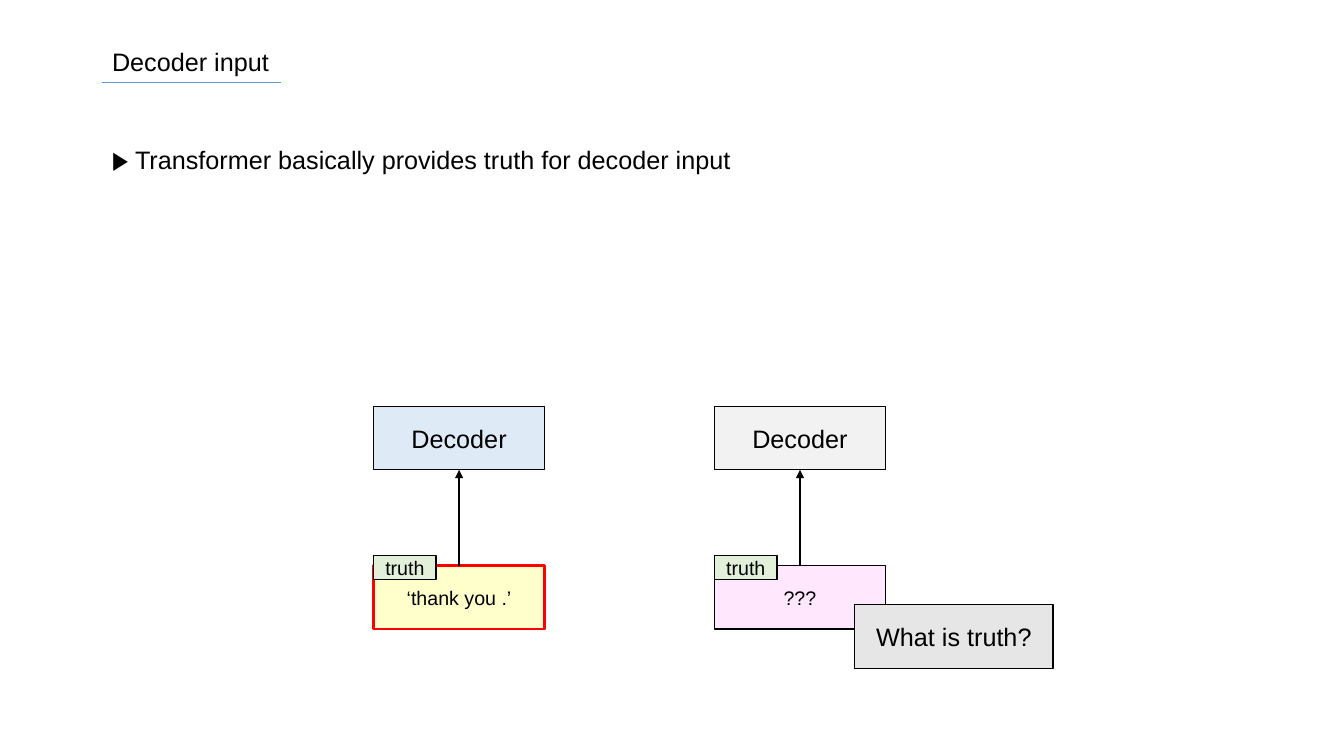
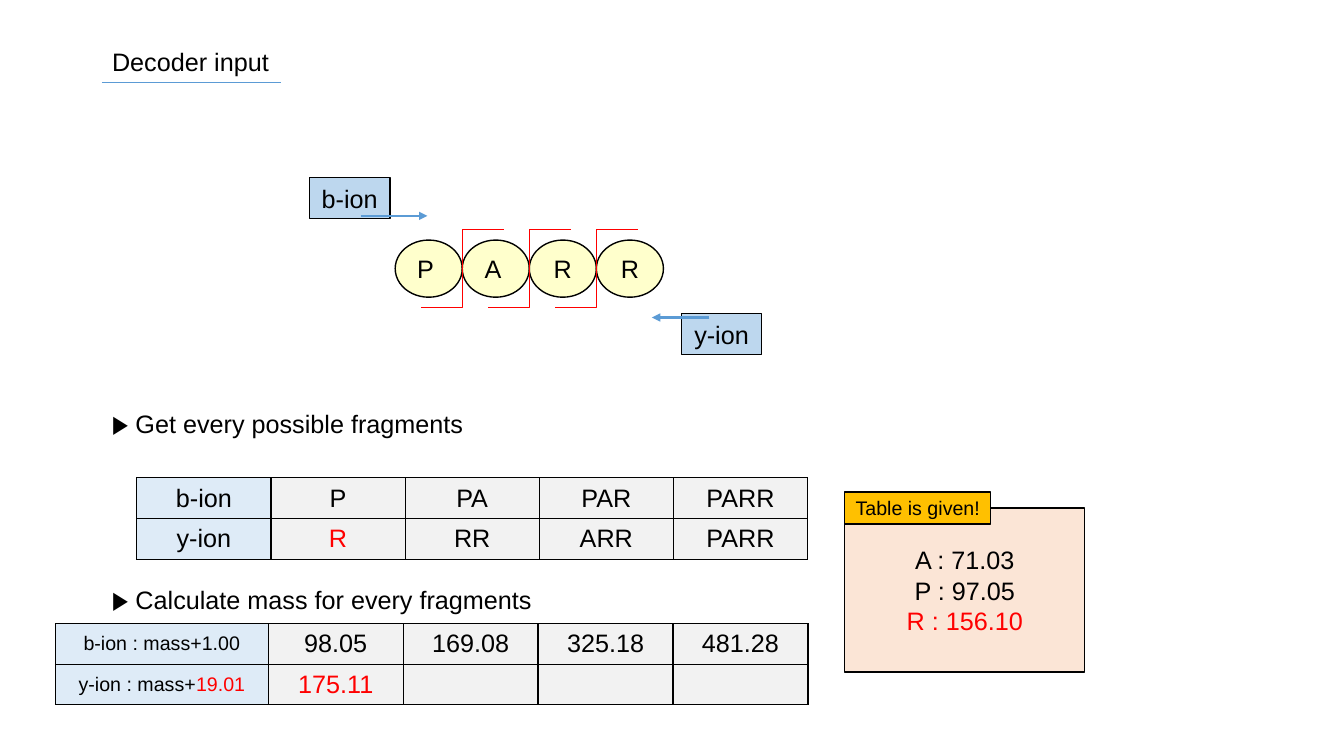
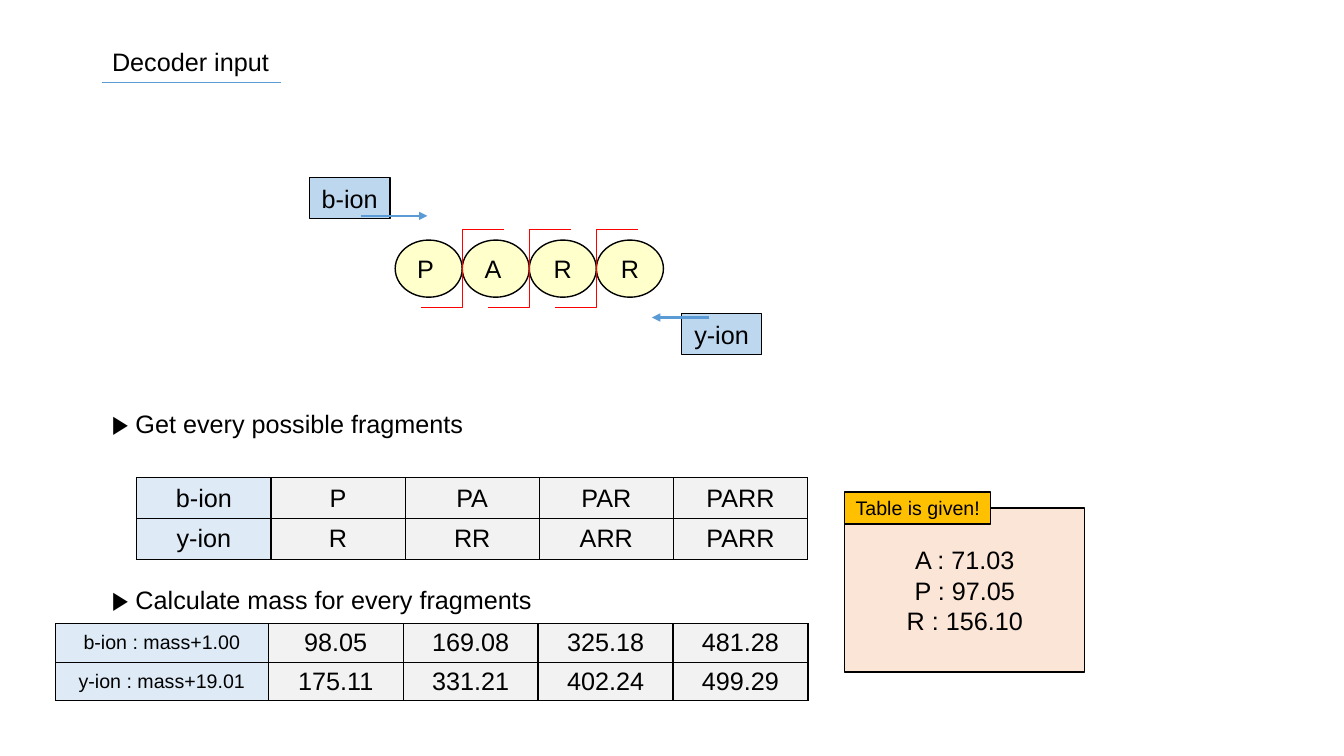
from dataclasses import dataclass, field

from lxml import etree
from pptx import Presentation
from pptx.dml.color import RGBColor
from pptx.enum.shapes import MSO_CONNECTOR, MSO_SHAPE
from pptx.enum.text import MSO_ANCHOR, PP_ALIGN
from pptx.oxml.ns import qn
from pptx.slide import Slide
from pptx.text.text import TextFrame
from pptx.util import Cm, Pt

RECT, OVAL = MSO_SHAPE.RECTANGLE, MSO_SHAPE.OVAL
STRAIGHT, ELBOW = MSO_CONNECTOR.STRAIGHT, MSO_CONNECTOR.ELBOW
LEFT, CENTER = PP_ALIGN.LEFT, PP_ALIGN.CENTER
TOP, MIDDLE = MSO_ANCHOR.TOP, MSO_ANCHOR.MIDDLE
TITLE_ONLY = 5


@dataclass(frozen=True)
class Theme:
    font: str = "Arial"
    body: float = 18
    small: float = 14
    ink: str = "000000"
    red: str = "FF0000"
    blue: str = "5B9BD5"
    ion: str = "BDD7EE"
    header: str = "DEEBF7"
    gray: str = "F2F2F2"
    question: str = "E7E6E6"
    yellow: str = "FFFFCC"
    pink: str = "FFE7FD"
    green: str = "E2F0D9"
    peach: str = "FBE5D6"
    amber: str = "FFC000"


THEME = Theme()


@dataclass(frozen=True)
class Box:
    text: str
    left: float
    top: float
    width: float
    height: float
    fill: str
    size: float = THEME.body
    outline: str = THEME.ink
    weight: float = 1
    shape: MSO_SHAPE = RECT
    accent: str = ""


@dataclass(frozen=True)
class Line:
    start: tuple[float, float]
    end: tuple[float, float]
    color: str = THEME.ink
    weight: float = 1
    arrow: bool = False
    kind: MSO_CONNECTOR = STRAIGHT


@dataclass(frozen=True)
class Grid:
    left: float
    top: float
    columns: list[float]
    row_height: float
    rows: list[list[str]]
    header_size: float = THEME.body
    accents: dict[tuple[int, int], str] = field(default_factory=dict)


@dataclass(frozen=True)
class DecoderCase:
    left: float
    decoder_fill: str
    input_text: str
    input_fill: str
    input_outline: str
    input_weight: float


def write_text(frame: TextFrame, text: str, *, size: float = THEME.body,
               color: str = THEME.ink, align: PP_ALIGN = LEFT,
               anchor: MSO_ANCHOR = TOP, accent: str = "") -> None:
    frame.word_wrap = True
    frame.vertical_anchor = anchor
    for index, line in enumerate(text.split("\n")):
        paragraph = frame.add_paragraph() if index else frame.paragraphs[0]
        paragraph.alignment = align
        before, hit, after = line.partition(accent) if accent else (line, "", "")
        for part, tint in ((before, color), (hit, THEME.red), (after, color)):
            if part:
                run = paragraph.add_run()
                run.text = part
                run.font.name = THEME.font
                run.font.size = Pt(size)
                run.font.color.rgb = RGBColor.from_string(tint)


def draw_box(slide: Slide, box: Box) -> None:
    shape = slide.shapes.add_shape(
        box.shape, Cm(box.left), Cm(box.top), Cm(box.width), Cm(box.height))
    shape.shadow.inherit = False
    shape.fill.solid()
    shape.fill.fore_color.rgb = RGBColor.from_string(box.fill)
    shape.line.color.rgb = RGBColor.from_string(box.outline)
    shape.line.width = Pt(box.weight)
    frame = shape.text_frame
    frame.margin_left = frame.margin_right = Cm(0.1)
    write_text(frame, box.text, size=box.size, align=CENTER,
               anchor=MIDDLE, accent=box.accent)


def draw_line(slide: Slide, line: Line) -> None:
    connector = slide.shapes.add_connector(
        line.kind, *(Cm(value) for value in line.start + line.end))
    connector.line.color.rgb = RGBColor.from_string(line.color)
    connector.line.width = Pt(line.weight)
    properties = connector.element.spPr
    if line.arrow:
        outline = properties.find(qn("a:ln"))
        etree.SubElement(outline, qn("a:tailEnd"), type="triangle")
    etree.SubElement(properties, qn("a:effectLst"))


def draw_grid(slide: Slide, grid: Grid) -> None:
    table = slide.shapes.add_table(
        len(grid.rows), len(grid.columns), Cm(grid.left), Cm(grid.top),
        Cm(sum(grid.columns)), Cm(grid.row_height * len(grid.rows))).table
    table.first_row = table.horz_banding = False
    for column, width in zip(table.columns, grid.columns):
        column.width = Cm(width)
    for r, texts in enumerate(grid.rows):
        table.rows[r].height = Cm(grid.row_height)
        for c, text in enumerate(texts):
            cell = table.cell(r, c)
            cell.margin_top = cell.margin_bottom = Cm(0.05)
            cell.vertical_anchor = MIDDLE
            write_text(cell.text_frame, text, align=CENTER,
                       size=THEME.body if c else grid.header_size,
                       accent=grid.accents.get((r, c), ""))
            for side in ("lnL", "lnR", "lnT", "lnB"):
                border = etree.SubElement(
                    cell._tc.get_or_add_tcPr(), qn(f"a:{side}"), w=str(Pt(1)))
                paint = etree.SubElement(border, qn("a:solidFill"))
                etree.SubElement(paint, qn("a:srgbClr"), val=THEME.ink)
            cell.fill.solid()
            cell.fill.fore_color.rgb = RGBColor.from_string(
                THEME.gray if c else THEME.header)


def add_statement(slide: Slide, text: str, top: float, width: float) -> None:
    statement = slide.shapes.add_textbox(Cm(2.57), Cm(top), Cm(width), Cm(1.02))
    write_text(statement.text_frame, f"▶ {text}")


def start_slide(deck: Presentation) -> Slide:
    slide = deck.slides.add_slide(deck.slide_layouts[TITLE_ONLY])
    title = slide.shapes.title
    title.left, title.top, title.width, title.height = (
        Cm(value) for value in (2.57, 1.04, 14.45, 1.02))
    write_text(title.text_frame, "Decoder input")
    draw_line(slide, Line((2.57, 2.08), (7.09, 2.08), THEME.blue, 0.5))
    return slide


def draw_decoder_case(slide: Slide, case: DecoderCase) -> None:
    width, height, decoder_top, input_top = 4.3, 1.6, 10.24, 14.25
    middle = case.left + width / 2
    draw_box(slide, Box("Decoder", case.left, decoder_top, width, height,
                        case.decoder_fill))
    draw_box(slide, Box(case.input_text, case.left, input_top, width, height,
                        case.input_fill, THEME.small, case.input_outline,
                        case.input_weight))
    draw_line(slide, Line((middle, input_top), (middle, decoder_top + height),
                          arrow=True))
    draw_box(slide, Box("truth", case.left, 14, 1.57, 0.61, THEME.green,
                        THEME.small))


def draw_peptide(slide: Slide) -> None:
    left, step = 9.96, 1.69
    draw_box(slide, Box("y-ion", 17.17, 7.9, 2.03, 1.04, THEME.ion))
    draw_box(slide, Box("b-ion", 7.8, 4.47, 2.03, 1.04, THEME.ion))
    residues = ("P ", "A ", "R", "R")
    for index, residue in enumerate(residues):
        draw_box(slide, Box(residue, left + index * step, 6.05, step, 1.44,
                            THEME.yellow, shape=OVAL))
    for index in range(1, len(residues)):
        cut = left + index * step
        draw_line(slide, Line((cut + 1.05, 5.77), (cut - 1.05, 7.75),
                              THEME.red, 0.5, kind=ELBOW))
    for start, end in (((9.09, 5.44), (10.77, 5.44)), ((17.88, 8), (16.43, 8))):
        draw_line(slide, Line(start, end, THEME.blue, 1.5, arrow=True))


def truth_slide(deck: Presentation) -> None:
    slide = start_slide(deck)
    add_statement(slide, "Transformer basically provides truth for decoder input",
                  3.51, 17.17)
    for case in (
        DecoderCase(18.01, THEME.gray, "???", THEME.pink, THEME.ink, 1),
        DecoderCase(9.42, THEME.header, "‘thank you .’", THEME.yellow, THEME.red, 2),
    ):
        draw_decoder_case(slide, case)
    draw_box(slide, Box("What is truth?", 21.54, 15.24, 5, 1.6, THEME.question))


def fragment_slide(deck: Presentation, y_masses: list[str], mass_row: float,
                   highlight: bool) -> None:
    slide = start_slide(deck)
    draw_peptide(slide)
    add_statement(slide, "Get every possible fragments", 10.16, 29)
    add_statement(slide, "Calculate mass for every fragments", 14.6, 29)
    draw_grid(slide, Grid(
        3.45, 12.04, [3.38] * 5, 1.03,
        [["b-ion", "P", "PA", "PAR", "PARR"],
         ["y-ion", "R", "RR", "ARR", "PARR"]],
        accents={(1, 1): "R"} if highlight else {}))
    draw_grid(slide, Grid(
        1.4, 15.72, [5.36] + [3.4] * 4, mass_row,
        [["b-ion : mass+1.00", "98.05", "169.08", "325.18", "481.28"],
         ["y-ion : mass+19.01"] + y_masses],
        THEME.small,
        {(1, 0): "19.01", (1, 1): "175.11"} if highlight else {}))
    draw_box(slide, Box("A : 71.03\nP : 97.05\nR : 156.10", 21.29, 12.8, 6.05,
                        4.14, THEME.peach,
                        accent="R : 156.10" if highlight else ""))
    draw_box(slide, Box("Table is given!", 21.29, 12.4, 3.68, 0.81, THEME.amber,
                        THEME.small))


def main() -> None:
    deck = Presentation()
    deck.slide_width, deck.slide_height = Cm(33.87), Cm(19.05)
    truth_slide(deck)
    fragment_slide(deck, ["175.11", "", "", ""], 1.02, True)
    fragment_slide(deck, ["175.11", "331.21", "402.24", "499.29"], 0.97, False)
    deck.save("out.pptx")


if __name__ == "__main__":
    main()
